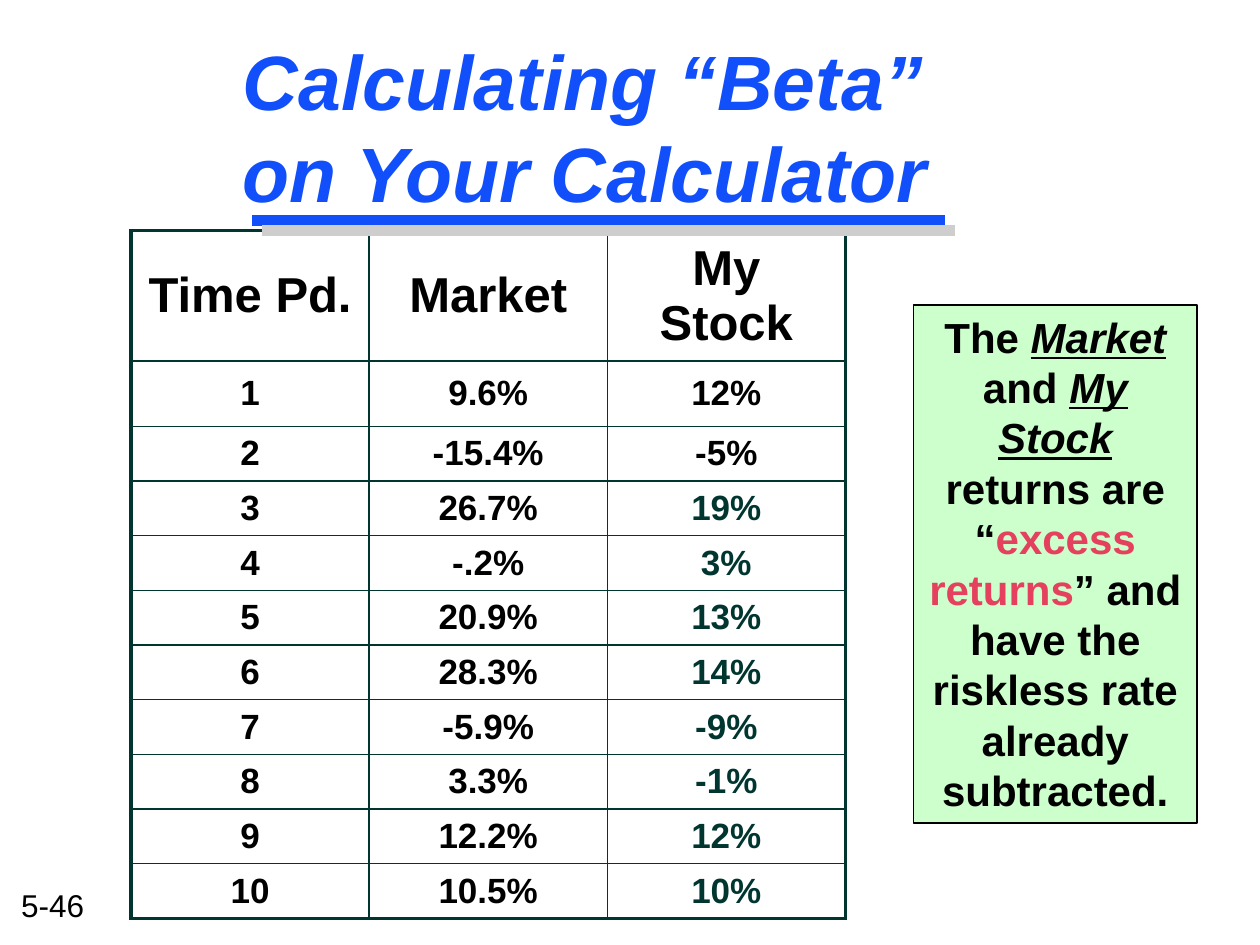
from lxml import etree
from pptx import Presentation
from pptx.dml.color import RGBColor
from pptx.enum.shapes import MSO_CONNECTOR as Connector, MSO_SHAPE as Shape
from pptx.enum.text import MSO_ANCHOR as Anchor, MSO_AUTO_SIZE as AutoSize, PP_ALIGN as Align
from pptx.oxml.ns import qn
from pptx.util import Inches, Pt

BLACK = RGBColor(0x00, 0x00, 0x00)
BLUE = RGBColor(0x11, 0x4F, 0xFB)
GRAY = RGBColor(0xCE, 0xCE, 0xCE)
TEAL = RGBColor(0x00, 0x35, 0x30)
MINT = RGBColor(0xCC, 0xFF, 0xCC)
RED = RGBColor(0xE5, 0x40, 0x5D)


def style_font(font, size, color, bold=True):
    font.name = "Arial"
    font.size = Pt(size)
    font.bold = bold
    font.color.rgb = color


def set_borders(cell, widths):
    properties = cell._tc.get_or_add_tcPr()
    for index, (side, width) in enumerate(widths.items()):
        border = etree.Element(qn(f"a:{side}"), w=str(Pt(width)))
        fill = etree.SubElement(border, qn("a:solidFill"))
        etree.SubElement(fill, qn("a:srgbClr"), val=str(TEAL))
        properties.insert(index, border)


presentation = Presentation()
presentation.slide_width = Inches(10)
presentation.slide_height = Inches(7.5)
slide = presentation.slides.add_slide(presentation.slide_layouts[6])

# Page number
page_box = slide.shapes.add_textbox(Inches(0.07), Inches(6.98), Inches(0.73), Inches(0.4))
page_box.text_frame.word_wrap = False
page_box.text_frame.text = "5-46"
style_font(page_box.text_frame.paragraphs[0].font, 18, BLACK, bold=False)

# Title
title_box = slide.shapes.add_textbox(Inches(1.83), Inches(0.25), Inches(6.08), Inches(1.5))
title_frame = title_box.text_frame
title_frame.word_wrap = True
title_frame.vertical_anchor = Anchor.MIDDLE
title_frame.text = "Calculating “Beta”\von Your Calculator"
paragraph = title_frame.paragraphs[0]
style_font(paragraph.font, 44, BLUE)
paragraph.font.italic = True

# Returns table
returns = [
    ("Time Pd.", "Market", "My Stock"),
    ("1", "9.6%", "12%"),
    ("2", "-15.4%", "-5%"),
    ("3", "26.7%", "19%"),
    ("4", "-.2%", "3%"),
    ("5", "20.9%", "13%"),
    ("6", "28.3%", "14%"),
    ("7", "-5.9%", "-9%"),
    ("8", "3.3%", "-1%"),
    ("9", "12.2%", "12%"),
    ("10", "10.5%", "10%"),
]
last_row, last_column = len(returns) - 1, len(returns[0]) - 1
table = slide.shapes.add_table(
    len(returns), len(returns[0]), Inches(1.04), Inches(1.83), Inches(5.67), Inches(5.45)
).table
table.horz_banding = False
for column in table.columns:
    column.width = Inches(1.89)
for row_index, values in enumerate(returns):
    table.rows[row_index].height = Inches({0: 1.03, 1: 0.52}.get(row_index, 0.43))
    for column_index, value in enumerate(values):
        cell = table.cell(row_index, column_index)
        cell.text = value
        cell.vertical_anchor = Anchor.MIDDLE
        cell.fill.background()
        paragraph = cell.text_frame.paragraphs[0]
        paragraph.alignment = Align.CENTER
        is_teal = column_index == last_column and row_index > 2
        style_font(paragraph.font, 28 if row_index == 0 else 20, TEAL if is_teal else BLACK)
        # Thick outer frame, thin inner grid
        set_borders(cell, {
            "lnL": 2.25 if column_index == 0 else 1,
            "lnR": 2.25 if column_index == last_column else 1,
            "lnT": 2.25 if row_index == 0 else 1,
            "lnB": 2.25 if row_index == last_row else 1,
        })

# Title underline and its offset shade
for left, top, color in [(2, 1.75, BLUE), (2.08, 1.83, GRAY)]:
    underline = slide.shapes.add_connector(
        Connector.STRAIGHT, Inches(left), Inches(top), Inches(left + 5.5), Inches(top)
    )
    underline.line.color.rgb = color
    underline.line.width = Pt(6)
    etree.SubElement(underline._element.spPr, qn("a:effectLst"))

# Note on excess returns
note = slide.shapes.add_shape(
    Shape.RECTANGLE, Inches(7.25), Inches(2.42), Inches(2.25), Inches(4.11)
)
note.shadow.inherit = False
note.fill.solid()
note.fill.fore_color.rgb = MINT
note.line.color.rgb = BLACK
note.line.width = Pt(1)
note.text_frame.word_wrap = True
note.text_frame.auto_size = AutoSize.SHAPE_TO_FIT_TEXT
note.text_frame.vertical_anchor = Anchor.TOP
paragraph = note.text_frame.paragraphs[0]
paragraph.alignment = Align.CENTER
for text, color, emphasized in [
    ("The ", BLACK, False),
    ("Market", BLACK, True),
    (" and ", BLACK, False),
    ("My Stock", BLACK, True),
    (" returns are “", BLACK, False),
    ("excess returns", RED, False),
    ("” and have the riskless rate already subtracted.", BLACK, False),
]:
    run = paragraph.add_run()
    run.text = text
    style_font(run.font, 24, color)
    run.font.italic = emphasized
    run.font.underline = emphasized

presentation.save("out.pptx")
